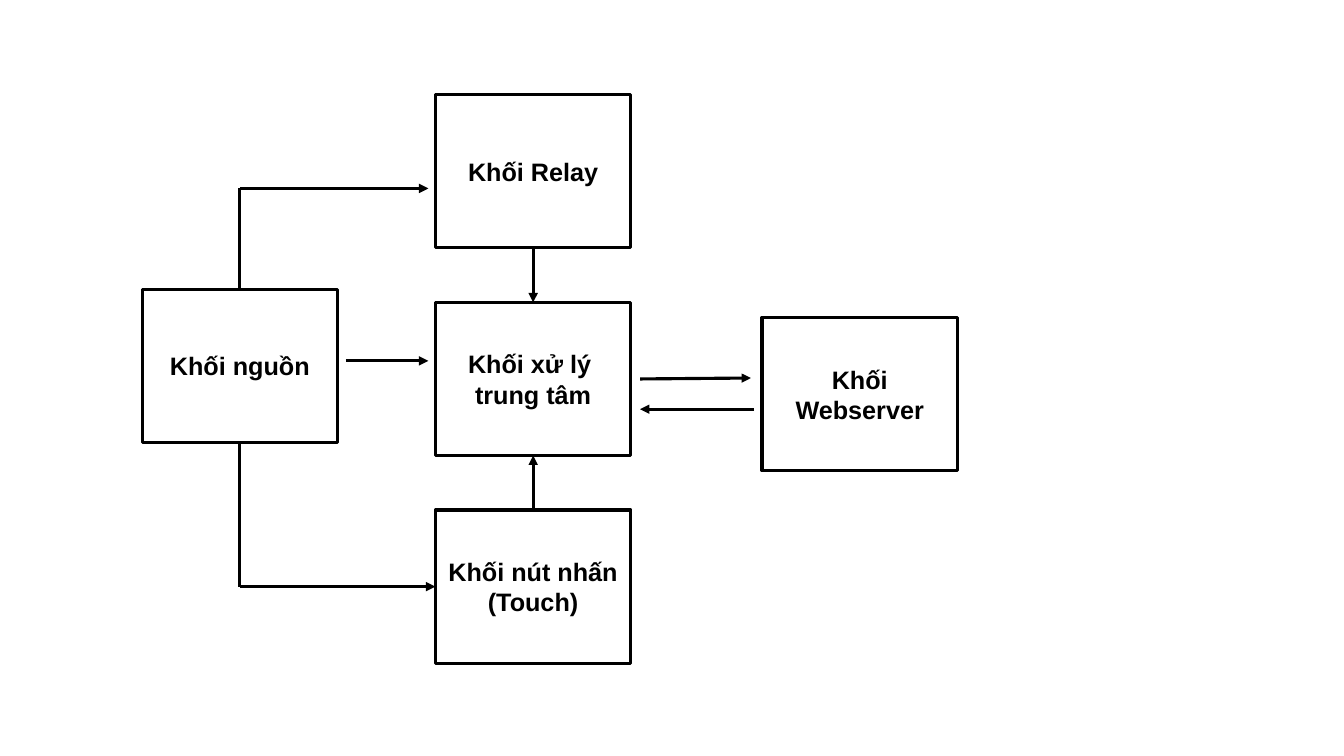
from typing import NamedTuple

from lxml.etree import SubElement
from pptx import Presentation
from pptx.dml.color import RGBColor
from pptx.enum.shapes import MSO_CONNECTOR as Connector, MSO_SHAPE as Shape
from pptx.enum.text import MSO_ANCHOR as Anchor, PP_ALIGN as Align
from pptx.oxml.ns import qn
from pptx.slide import Slide
from pptx.util import Pt

BLACK = RGBColor(0x00, 0x00, 0x00)
WHITE = RGBColor(0xFF, 0xFF, 0xFF)
LINE_WIDTH = Pt(2.25)
FONT_FORMAT = {"name": "Arial", "size": Pt(18), "bold": True}

# All lengths below are in points.
BLOCK_WIDTH, BLOCK_HEIGHT = 139.7, 109.4
SUPPLY_LEFT, SUPPLY_TOP = 101.5, 206.6
COLUMN_LEFT, COLUMN_TOP, COLUMN_STEP = 311, 67.7, 148.3
SERVER_LEFT, SERVER_TOP = 544.3, 226.8


class Block(NamedTuple):
    """A labelled unit of the system, one paragraph per label line."""
    left: float
    top: float
    lines: list[str]

    @property
    def center(self) -> float:
        """Horizontal middle of the block."""
        return self.left + BLOCK_WIDTH / 2

    @property
    def bottom(self) -> float:
        """Lower edge of the block."""
        return self.top + BLOCK_HEIGHT


class Link(NamedTuple):
    """A straight line between two points, with an arrowhead at its end."""
    start: tuple[float, float]
    end: tuple[float, float]
    arrow: bool = True


def draw_block(slide: Slide, block: Block) -> None:
    """Draw one outlined block with its centred label."""
    box = slide.shapes.add_shape(Shape.RECTANGLE, Pt(block.left), Pt(block.top),
                                 Pt(BLOCK_WIDTH), Pt(BLOCK_HEIGHT))
    box.shadow.inherit = False
    box.fill.solid()
    box.fill.fore_color.rgb = WHITE
    box.line.color.rgb = BLACK
    box.line.width = LINE_WIDTH
    label = box.text_frame
    label.word_wrap = True
    label.vertical_anchor = Anchor.MIDDLE
    label.text = "\n".join(block.lines)
    for paragraph in label.paragraphs:
        paragraph.alignment = Align.CENTER
        for run in paragraph.runs:
            run.font.color.rgb = BLACK
            for attribute, value in FONT_FORMAT.items():
                setattr(run.font, attribute, value)


def draw_link(slide: Slide, link: Link) -> None:
    """Draw one connector, with an arrowhead if the link has one."""
    ends = [Pt(value) for value in (*link.start, *link.end)]
    connector = slide.shapes.add_connector(Connector.STRAIGHT, *ends)
    connector.line.color.rgb = BLACK
    connector.line.width = LINE_WIDTH
    if link.arrow:
        SubElement(connector.line._get_or_add_ln(), qn("a:tailEnd"), type="triangle")
    SubElement(connector._element.spPr, qn("a:effectLst"))


supply = Block(SUPPLY_LEFT, SUPPLY_TOP, ["Khối nguồn"])
relay, processor, touch = [
    Block(COLUMN_LEFT, COLUMN_TOP + row * COLUMN_STEP, lines)
    for row, lines in enumerate([["Khối Relay"],
                                 ["Khối xử lý ", "trung tâm"],
                                 ["Khối nút nhấn", "(Touch)"]])
]
server = Block(SERVER_LEFT, SERVER_TOP, ["Khối Webserver"])

RELAY_FEED_Y, PROCESSOR_FEED_Y, TOUCH_FEED_Y = 134.6, 257.8, 419
FEED_END = 306
SERVER_LINK_LEFT = 457.2
links = [
    Link((247, PROCESSOR_FEED_Y), (FEED_END, PROCESSOR_FEED_Y)),
    Link((supply.center, TOUCH_FEED_Y), (touch.left, TOUCH_FEED_Y)),
    Link((supply.center, TOUCH_FEED_Y), (supply.center, supply.bottom), arrow=False),
    Link((supply.center, supply.top), (supply.center, RELAY_FEED_Y), arrow=False),
    Link((touch.center, touch.top), (processor.center, processor.bottom)),
    Link((SERVER_LINK_LEFT, 270.7), (536.4, 270)),
    Link((supply.center, RELAY_FEED_Y), (FEED_END, RELAY_FEED_Y)),
    Link((relay.center, relay.bottom), (processor.center, processor.top)),
    Link((538.6, 292.3), (SERVER_LINK_LEFT, 292.3)),
]

presentation = Presentation()
presentation.slide_width, presentation.slide_height = Pt(960), Pt(540)
diagram = presentation.slides.add_slide(presentation.slide_layouts[6])
for unit in (supply, processor, relay, touch, server):
    draw_block(diagram, unit)
for connection in links:
    draw_link(diagram, connection)
presentation.save("out.pptx")
